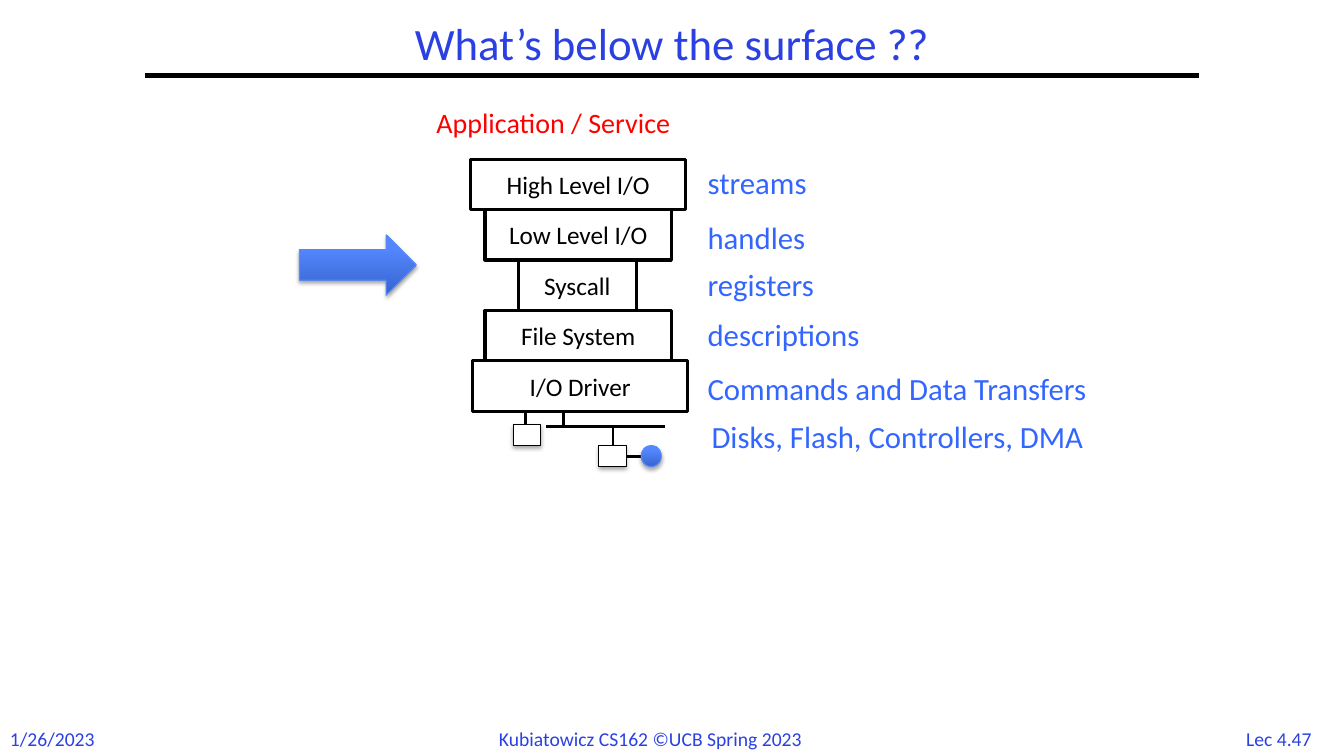
from lxml.etree import SubElement
from pptx import Presentation
from pptx.dml.color import RGBColor
from pptx.enum.shapes import MSO_CONNECTOR, MSO_SHAPE
from pptx.enum.text import MSO_ANCHOR, PP_ALIGN
from pptx.oxml.ns import qn
from pptx.util import Inches, Pt

BLACK = RGBColor(0x00, 0x00, 0x00)
WHITE = RGBColor(0xFF, 0xFF, 0xFF)
RED = RGBColor(0xFF, 0x00, 0x00)
NAVY = RGBColor(0x2A, 0x40, 0xE2)
BLUE = RGBColor(0x33, 0x66, 0xFF)
DEEP = RGBColor(0x37, 0x64, 0xCE)
LIGHT = RGBColor(0x54, 0x87, 0xFF)
EDGE = RGBColor(0x5B, 0x8A, 0xFB)
FONT = "Calibri"


def write(frame, text, size, color, align=PP_ALIGN.LEFT):
    frame.word_wrap = True
    par = frame.paragraphs[0]
    par.alignment = align
    run = par.add_run()
    run.text = text
    run.font.name = FONT
    run.font.size = Pt(size)
    run.font.color.rgb = color
    return par


def add_label(slide, box, text, size, color, align=PP_ALIGN.LEFT):
    label = slide.shapes.add_textbox(*map(Inches, box))
    write(label.text_frame, text, size, color, align)


def add_line(slide, x1, y1, x2, y2, width=2):
    line = slide.shapes.add_connector(
        MSO_CONNECTOR.STRAIGHT, *map(Inches, (x1, y1, x2, y2)))
    line.line.color.rgb = BLACK
    line.line.width = Pt(width)
    SubElement(line._element.spPr, qn("a:effectLst"))


def add_box(slide, kind, box, edge, width):
    shape = slide.shapes.add_shape(kind, *map(Inches, box))
    shape.shadow.inherit = False
    shape.fill.solid()
    shape.fill.fore_color.rgb = WHITE
    shape.line.color.rgb = edge
    shape.line.width = Pt(width)
    return shape


def add_shadow(shape):
    effects = shape._element.spPr.find(qn("a:effectLst"))
    shadow = SubElement(effects, qn("a:outerShdw"), blurRad=str(Pt(3.1)),
                        dist=str(Pt(1.8)), dir="5400000", rotWithShape="0")
    color = SubElement(shadow, qn("a:srgbClr"), val=str(BLACK))
    SubElement(color, qn("a:alpha"), val="35000")


def add_glossy(slide, kind, box):
    """Add a blue shape that lightens from bottom to top."""
    shape = add_box(slide, kind, box, EDGE, 0.75)
    shape.fill.gradient()
    shape.fill.gradient_angle = 90
    for stop, place, color in zip(shape.fill.gradient_stops, (0, 0.8), (DEEP, LIGHT)):
        stop.position = place
        stop.color.rgb = color
    add_shadow(shape)


def add_title(slide, left, top, width, height):
    title = slide.shapes.title
    title.left, title.top, title.width, title.height = map(
        Inches, (left, top, width, height))
    title.text_frame.vertical_anchor = MSO_ANCHOR.MIDDLE
    par = write(title.text_frame, "What’s below the surface ??", 32, NAVY, PP_ALIGN.CENTER)
    par.line_spacing = 0.9
    add_line(slide, left, top + height, left + width, top + height, 3)


def add_footer(slide, top):
    height = 0.34
    add_label(slide, (0, top, 1.07, height), "1/26/2023", 14, NAVY)
    add_label(slide, (4.85, top, 3.63, height),
              "Kubiatowicz CS162 ©UCB Spring 2023", 14, NAVY)
    add_label(slide, (12.2, top, 0.97, height), "Lec 4.47", 14, NAVY, PP_ALIGN.CENTER)


def add_devices(slide, left, top):
    """Draw the bus and devices hanging below the driver."""
    bus = top + 0.15
    add_line(slide, left + 0.33, bus, left + 1.51, bus)
    add_line(slide, left + 0.5, top - 0.05, left + 0.5, bus)
    add_line(slide, left + 0.99, bus, left + 0.99, bus + 0.19)
    add_line(slide, left + 1.12, bus + 0.3, left + 1.27, bus + 0.3)
    add_line(slide, left + 0.12, top - 0.07, left + 0.12, top + 0.13)
    for x, y in ((left, top + 0.13), (left + 0.85, bus + 0.19)):
        add_shadow(add_box(slide, MSO_SHAPE.RECTANGLE, (x, y, 0.27, 0.21), BLACK, 0.75))
    add_glossy(slide, MSO_SHAPE.OVAL, (left + 1.27, bus + 0.19, 0.2, 0.21))


def add_stack(slide, top):
    step = 0.5
    layers = (("High Level I/O", 4.67, 2.13), ("Low Level I/O", 4.81, 1.85),
              ("Syscall", 5.14, 1.17), ("File System", 4.81, 1.85),
              ("I/O Driver", 4.69, 2.13))
    for row, (name, left, width) in reversed(list(enumerate(layers))):
        layer = add_box(slide, MSO_SHAPE.RECTANGLE,
                        (left, top + row * step, width, step), BLACK, 2.25)
        layer.text_frame.vertical_anchor = MSO_ANCHOR.MIDDLE
        write(layer.text_frame, name, 18, BLACK, PP_ALIGN.CENTER)


def add_notions(slide, left, top):
    """Name what each layer deals with."""
    notions = (("streams", 0, 0), ("handles", 0, 0.54), ("registers", 0, 1.01),
               ("descriptions", 0, 1.5), ("Commands and Data Transfers", 0, 2.04),
               ("Disks, Flash, Controllers, DMA", 0.04, 2.51))
    for text, x, y in notions:
        add_label(slide, (left + x, top + y, 4.5, 0.47), text, 22, BLUE)


def main():
    deck = Presentation()
    deck.slide_width, deck.slide_height = Inches(13.33), Inches(7.5)
    slide = deck.slides.add_slide(deck.slide_layouts[5])
    add_title(slide, 1.44, 0.17, 10.45, 0.58)
    add_footer(slide, 7.16)
    add_label(slide, (4.23, 1, 2.74, 0.44), "Application / Service", 20, RED)
    add_glossy(slide, MSO_SHAPE.RIGHT_ARROW, (2.97, 2.33, 1.16, 0.6))
    add_devices(slide, 5.09, 4.08)
    add_stack(slide, 1.58)
    add_notions(slide, 6.92, 1.58)
    deck.save("out.pptx")


if __name__ == "__main__":
    main()
